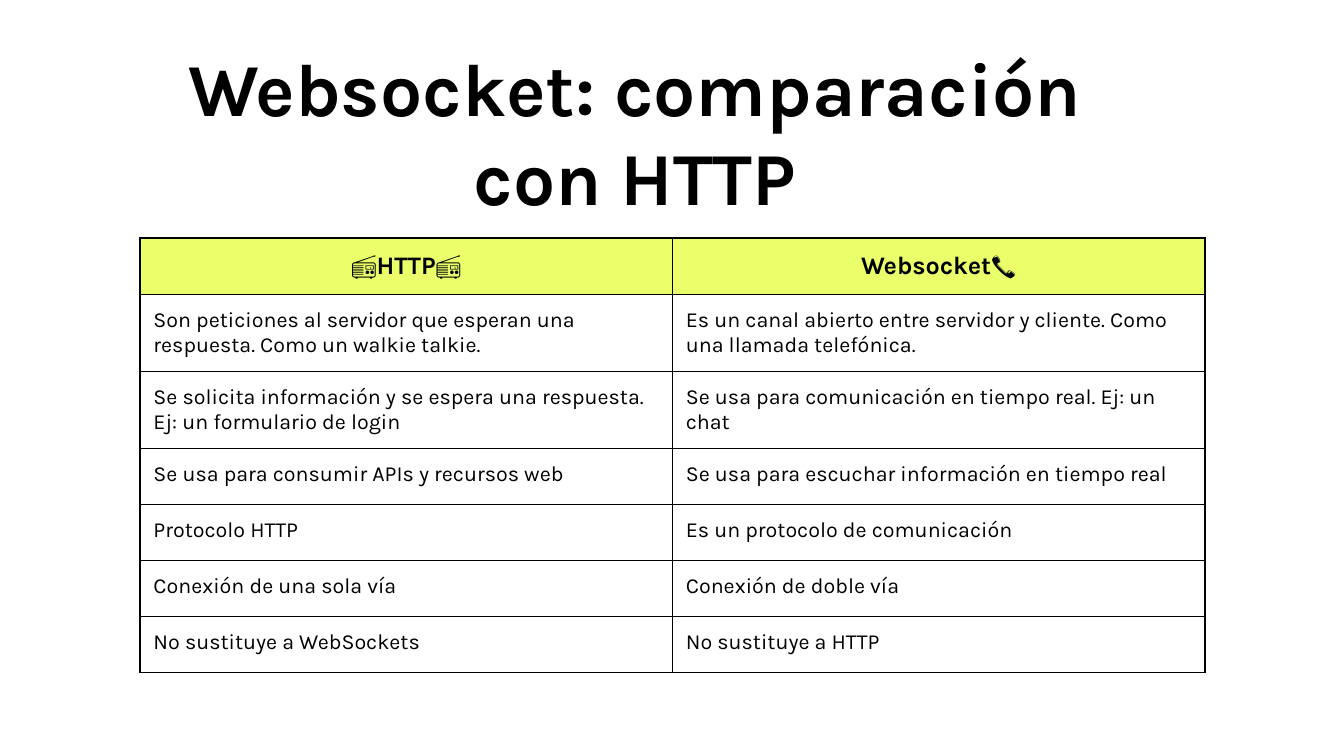
from lxml.etree import SubElement
from pptx import Presentation
from pptx.dml.color import RGBColor
from pptx.enum.text import MSO_ANCHOR, MSO_AUTO_SIZE, PP_ALIGN
from pptx.oxml.ns import qn
from pptx.util import Pt

COLORS = {"ink": "000000", "header": "EAFF6A"}
HEADERS = [["📻", "HTTP", "📻"], ["Websocket", "📞"]]
COMPARISON = [
    ("Son peticiones al servidor que esperan una respuesta. Como un walkie talkie.",
     "Es un canal abierto entre servidor y cliente. Como una llamada telefónica."),
    ("Se solicita información y se espera una respuesta. Ej: un formulario de login",
     "Se usa para comunicación en tiempo real. Ej: un chat"),
    ("Se usa para consumir APIs y recursos web",
     "Se usa para escuchar información en tiempo real"),
    ("Protocolo HTTP", "Es un protocolo de comunicación"),
    ("Conexión de una sola vía", "Conexión de doble vía"),
    ("No sustituye a WebSockets", "No sustituye a HTTP"),
]


class SlideBuilder:
    font = "Karla"
    inset = Pt(7.2)

    def __init__(self, slide):
        self.slide = slide

    def style(self, run, size, bold=False):
        run.font.name = self.font
        run.font.size = Pt(size)
        run.font.bold = bold
        run.font.color.rgb = RGBColor.from_string(COLORS["ink"])

    def set_insets(self, holder):
        holder.margin_left = holder.margin_right = self.inset
        holder.margin_top = holder.margin_bottom = self.inset

    def title(self, text, left, top, width, height):
        heading = self.slide.shapes.title
        heading.left, heading.top = Pt(left), Pt(top)
        heading.width, heading.height = Pt(width), Pt(height)
        frame = heading.text_frame
        frame.text = text
        frame.word_wrap = True
        frame.auto_size = MSO_AUTO_SIZE.NONE
        frame.vertical_anchor = MSO_ANCHOR.TOP
        self.set_insets(frame)
        paragraph = frame.paragraphs[0]
        paragraph.alignment = PP_ALIGN.CENTER
        paragraph.line_spacing = Pt(48)
        self.style(paragraph.runs[0], 40, bold=True)

    def borders(self, cell, widths):
        """Draw the cell's borders; widths maps a side (L, R, T, B) to points."""
        properties = cell._tc.get_or_add_tcPr()
        for position, (side, width) in enumerate(widths.items()):
            line = properties.makeelement(qn(f"a:ln{side}"), {"w": str(Pt(width))})
            properties.insert(position, line)
            fill = SubElement(line, qn("a:solidFill"))
            SubElement(fill, qn("a:srgbClr"), val=COLORS["ink"])

    def cell(self, cell, parts, size, header=False):
        self.set_insets(cell)
        paragraph = cell.text_frame.paragraphs[0]
        paragraph.alignment = PP_ALIGN.CENTER if header else PP_ALIGN.LEFT
        for part in parts:
            run = paragraph.add_run()
            run.text = part
            self.style(run, size, bold=header and part.isalpha())
        if header:
            cell.fill.solid()
            cell.fill.fore_color.rgb = RGBColor.from_string(COLORS["header"])
        else:
            cell.fill.background()

    def table(self, headers, rows, left, top, width, row_height):
        row_count = len(rows) + 1
        table = self.slide.shapes.add_table(
            row_count, len(headers), Pt(left), Pt(top), Pt(width),
            Pt(row_height * row_count)).table
        table.horz_banding = table.first_row = False
        for column, parts in enumerate(headers):
            self.cell(table.cell(0, column), parts, 13.5, header=True)
        for row, texts in enumerate(rows, start=1):
            for column, text in enumerate(texts):
                self.cell(table.cell(row, column), [text], 11.5)
        for row in range(row_count):
            above, below = (1 if edge < 3 else 0.75 for edge in (row, row + 1))
            for cell in table.rows[row].cells:
                self.borders(cell, {"L": 1, "R": 1, "T": above, "B": below})


def main():
    presentation = Presentation()
    presentation.slide_width, presentation.slide_height = Pt(720), Pt(405)
    builder = SlideBuilder(
        presentation.slides.add_slide(presentation.slide_layouts[5]))
    builder.title("Websocket: comparación con HTTP", 80.5, 15, 519, 49)
    builder.table(HEADERS, COMPARISON, 75, 127.5, 570.5, 30)
    presentation.save("out.pptx")


if __name__ == "__main__":
    main()
